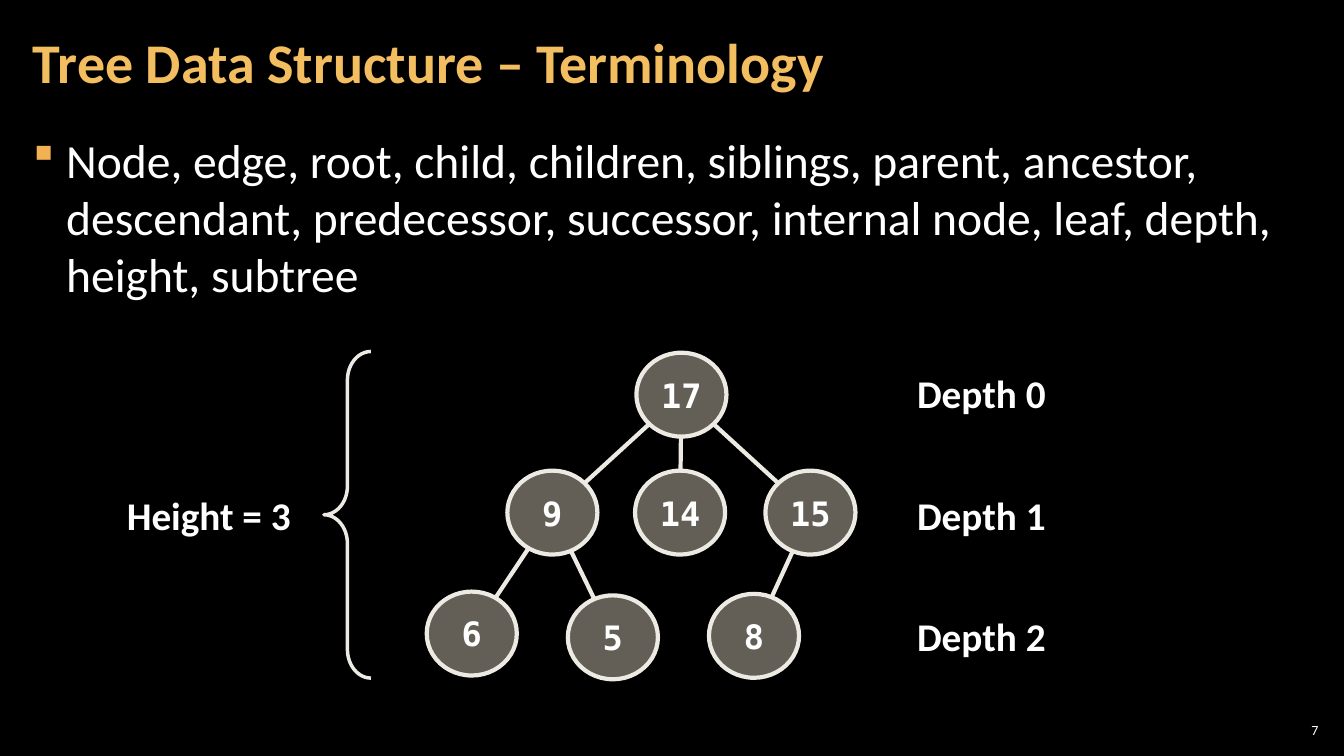
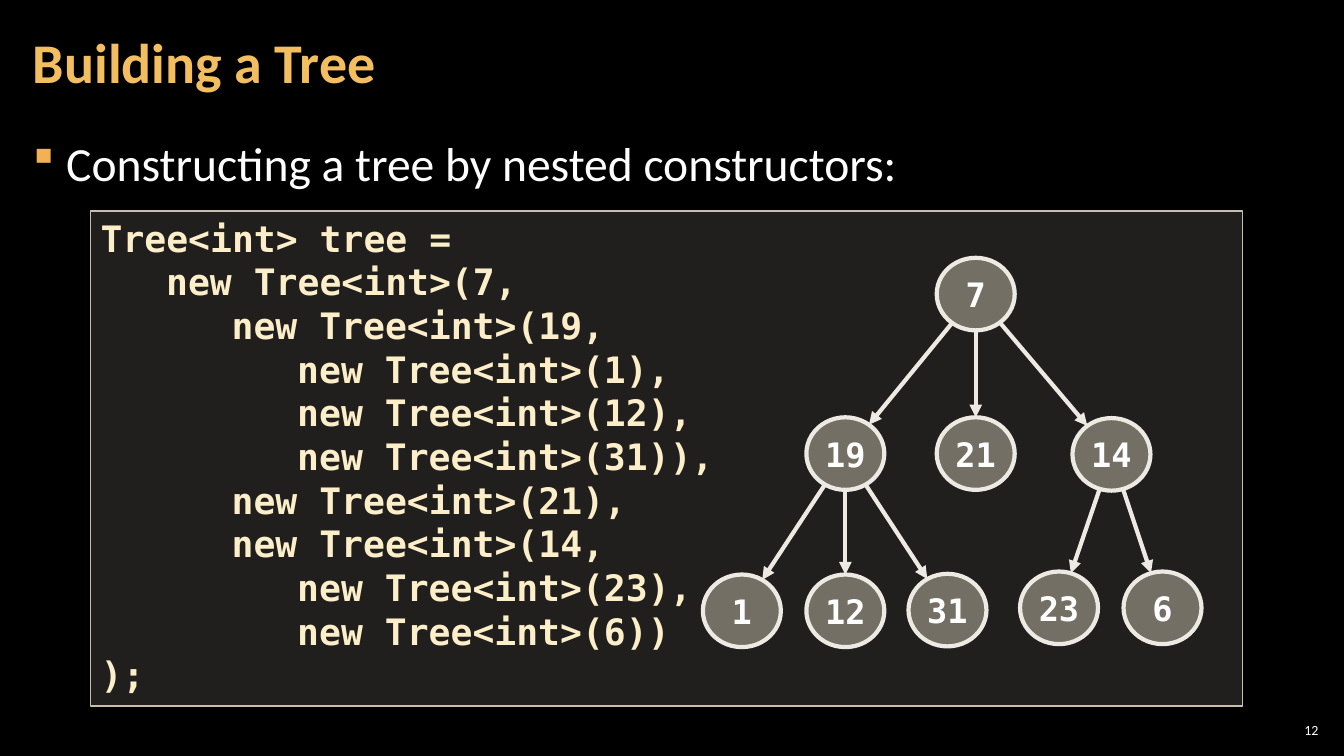
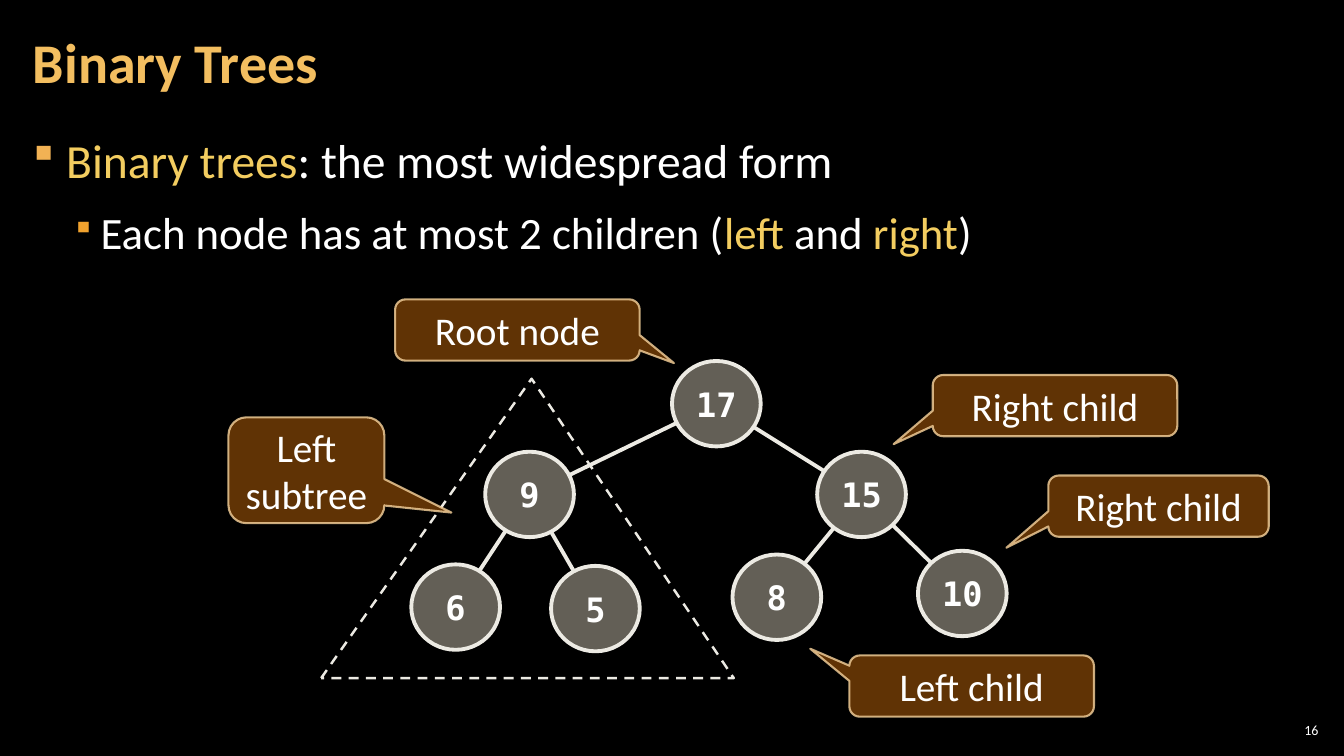
"""Build three slides on tree data structures."""
from math import hypot

from lxml.etree import SubElement
from pptx import Presentation
from pptx.dml.color import RGBColor
from pptx.enum.dml import MSO_LINE
from pptx.enum.shapes import MSO_CONNECTOR, MSO_SHAPE as SHAPE
from pptx.enum.text import MSO_ANCHOR as ANCHOR, MSO_AUTO_SIZE as AUTO, PP_ALIGN as ALIGN
from pptx.oxml.ns import qn
from pptx.util import Inches, Pt

WIDTH, HEIGHT = Inches(13.33), Inches(7.5)

BLACK = RGBColor(0x00, 0x00, 0x00)
WHITE = RGBColor(0xFF, 0xFF, 0xFF)
GOLD = RGBColor(0xF3, 0xBE, 0x60)
HIGHLIGHT = RGBColor(0xF3, 0xCD, 0x60)
AMBER = RGBColor(0xF2, 0xB2, 0x54)
ORANGE = RGBColor(0xF0, 0xA2, 0x2E)
CREAM = RGBColor(0xFB, 0xEE, 0xC9)
IVORY = RGBColor(0xEC, 0xEA, 0xE3)
STONE = RGBColor(0xC7, 0xBF, 0xAC)
PANEL = RGBColor(0xD9, 0xD5, 0xC7)
BROWN = RGBColor(0x66, 0x36, 0x06)
TAN = RGBColor(0xF8, 0xD4, 0x9E)

SANS, MONO, SYMBOLS = "Calibri", "DejaVu Sans Mono", "Wingdings"
SQUARE = "§"

BULLET_LEVELS = [(0.33, 0.33, 34, AMBER, 100), (0.67, 0.25, 32, ORANGE, 80)]

TERMS_TREE = {
    "17": (50.7, 52.2, None),
    "9": (41.1, 67.8, "17"), "14": (50.6, 67.8, "17"), "15": (60.3, 67.8, "17"),
    "6": (35.1, 83.8, "9"), "5": (45.6, 84.3, "9"), "8": (56.1, 84.1, "15"),
}
NESTED_TREE = {
    "7": (72.6, 38.9, None),
    "19": (62.9, 60, "7"), "21": (72.6, 60, "7"), "14": (82.7, 60.1, "7"),
    "1": (55.2, 80.8, "19"), "12": (62.9, 80.8, "19"), "31": (70.5, 80.7, "19"),
    "23": (78.8, 80.4, "14"), "6": (86.5, 80.4, "14"),
}
BINARY_TREE = {
    "17": (53.3, 53.4, None),
    "9": (39.4, 65.4, "17"), "15": (64.1, 65.4, "17"),
    "6": (33.9, 80.3, "9"), "5": (44.3, 80.5, "9"),
    "8": (57.8, 79, "15"), "10": (71.6, 78.5, "15"),
}
CODE = [
    (0, "Tree<int> tree ="),
    (1, "new Tree<int>(7,"),
    (2, "new Tree<int>(19,"),
    (3, "new Tree<int>(1),"),
    (3, "new Tree<int>(12),"),
    (3, "new Tree<int>(31)),"),
    (2, "new Tree<int>(21),"),
    (2, "new Tree<int>(14,"),
    (3, "new Tree<int>(23),"),
    (3, "new Tree<int>(6))"),
    (0, ");"),
]
CALLOUTS = [
    (["Root node"], (29.4, 39.6, 18.2, 8.1), (0.64, 0.54)),
    (["Left", "subtree"], (17, 55.2, 11.6, 14), (0.93, 0.4)),
    (["Right child"], (69.4, 49.6, 18.2, 8.1), (-0.66, 0.63)),
    (["Right child"], (78, 62.9, 16.4, 8.1), (-0.69, 0.68)),
    (["Left child"], (63.2, 86.7, 18.2, 8.1), (-0.66, -0.61)),
]


def share(*percents):
    """Turn alternating percentages of slide width and height into lengths."""
    return [round((HEIGHT if i % 2 else WIDTH) * p / 100) for i, p in enumerate(percents)]


def style(paragraph, size, color=WHITE, bold=False, font=SANS, align=ALIGN.LEFT):
    """Set the font and alignment of one paragraph."""
    paragraph.alignment = align
    paragraph.font.name = font
    paragraph.font.size = Pt(size)
    paragraph.font.bold = bold
    paragraph.font.color.rgb = color


def write(frame, lines, size, **look):
    """Fill a text frame with one styled paragraph per line."""
    frame.text = "\n".join(lines)
    for paragraph in frame.paragraphs:
        style(paragraph, size, **look)


def set_insets(frame, side, edge=0.04):
    """Set the inner margins of a text frame."""
    frame.margin_left = frame.margin_right = Inches(side)
    frame.margin_top = frame.margin_bottom = Inches(edge)


def set_opacity(fill_owner, percent):
    """Make the solid fill held by an XML element translucent."""
    color = fill_owner.find(qn("a:solidFill"))[0]
    SubElement(color, qn("a:alpha"), val=str(percent * 1000))


def add_outline(shapes, kind, box, fill=None, opacity=100, line=IVORY, weight=1, adjust=()):
    """Add a preset shape with an optional translucent fill."""
    shape = shapes.add_shape(kind, *share(*box))
    shape.shadow.inherit = False
    for i, value in enumerate(adjust):
        shape.adjustments[i] = value
    if fill is None:
        shape.fill.background()
    else:
        shape.fill.solid()
        shape.fill.fore_color.rgb = fill
        set_opacity(shape.element.spPr, opacity)
    shape.line.color.rgb = line
    shape.line.width = Pt(weight)
    return shape


def add_edge(shapes, parent, child, size, weight, arrow):
    """Link two node centres, trimmed to the outlines of the nodes."""
    dx, dy = child[0] - parent[0], child[1] - parent[1]
    trim = 1 / hypot(dx / (size[0] / 2), dy / (size[1] / 2))
    ends = share(parent[0] + dx * trim, parent[1] + dy * trim,
                 child[0] - dx * trim, child[1] - dy * trim)
    edge = shapes.add_connector(MSO_CONNECTOR.STRAIGHT, *ends)
    edge.line.color.rgb = IVORY
    edge.line.width = Pt(weight)
    properties = edge.element.spPr
    if arrow:
        SubElement(properties.find(qn("a:ln")), qn("a:tailEnd"), type="triangle")
    SubElement(properties, qn("a:effectLst"))


def add_tree(slide, tree, size, weight=3, arrow=False):
    """Draw a grouped tree of labelled nodes, each naming its parent."""
    shapes = slide.shapes.add_group_shape().shapes
    for x, y, parent in tree.values():
        if parent:
            add_edge(shapes, tree[parent], (x, y), size, weight, arrow)
    for label, (x, y, _) in tree.items():
        box = (x - size[0] / 2, y - size[1] / 2, *size)
        node = add_outline(shapes, SHAPE.OVAL, box, STONE, 50, weight=weight)
        node.text_frame.word_wrap = False
        node.text_frame.vertical_anchor = ANCHOR.MIDDLE
        write(node.text_frame, [label], 24, bold=True, font=MONO, align=ALIGN.CENTER)


def add_label(slide, text, left, top, width):
    """Add a bold one-line label beside a tree."""
    frame = slide.shapes.add_textbox(*share(left, top, width, 7.6)).text_frame
    frame.word_wrap = False
    frame.auto_size = AUTO.SHAPE_TO_FIT_TEXT
    write(frame, [text], 28, bold=True)


def add_callout(slide, lines, box, tip):
    """Add a brown speech bubble whose tip points at part of a tree."""
    callout = add_outline(slide.shapes, SHAPE.ROUNDED_RECTANGULAR_CALLOUT, box,
                          BROWN, 95, TAN, 1.5, (*tip, 0.17))
    set_opacity(callout.element.spPr.find(qn("a:ln")), 80)
    callout.text_frame.word_wrap = True
    callout.text_frame.vertical_anchor = ANCHOR.MIDDLE
    write(callout.text_frame, lines, 28, align=ALIGN.CENTER)


def add_code(slide, box):
    """Add the code panel, indenting each line by its nesting depth."""
    panel = add_outline(slide.shapes, SHAPE.RECTANGLE, box, PANEL, 15, STONE)
    frame = panel.text_frame
    frame.word_wrap = True
    frame.vertical_anchor = ANCHOR.TOP
    write(frame, [line for _, line in CODE], 26, color=CREAM, bold=True, font=MONO)
    for paragraph, (depth, _) in zip(frame.paragraphs, CODE):
        paragraph._p.get_or_add_pPr().set("marL", str(Inches(0.65 * depth)))


def add_bullet(paragraph, text, level, spacing):
    """Write one bullet, highlighting the parts between asterisks."""
    margin, hanging, size, color, scale = BULLET_LEVELS[level]
    paragraph.level = level
    paragraph.line_spacing = spacing
    paragraph.space_before = paragraph.space_after = Pt(6)
    properties = paragraph._p.get_or_add_pPr()
    properties.set("marL", str(Inches(margin)))
    properties.set("indent", str(-Inches(hanging)))
    SubElement(SubElement(properties, qn("a:buClr")), qn("a:srgbClr"), val=str(color))
    SubElement(properties, qn("a:buSzPct"), val=str(scale * 1000))
    SubElement(properties, qn("a:buFont"), typeface=SYMBOLS, charset="2")
    SubElement(properties, qn("a:buChar"), char=SQUARE)
    style(paragraph, size)
    for i, part in enumerate(text.split("*")):
        if part:
            run = paragraph.add_run()
            run.text = part
            if i % 2:
                run.font.color.rgb = HIGHLIGHT


def add_slide(deck, title, number, bullets, spacing=1.0):
    """Add a slide with its title, bullets and page number."""
    slide = deck.slides.add_slide(deck.slide_layouts[5])
    heading = slide.shapes.title
    heading.left, heading.top, heading.width, heading.height = share(1.55, 0.6, 78.5, 16.1)
    frame = heading.text_frame
    frame.auto_size = AUTO.NONE
    frame.vertical_anchor = ANCHOR.MIDDLE
    set_insets(frame, 0.12)
    write(frame, [title], 40, color=GOLD, bold=True)
    frame.paragraphs[0].line_spacing = 0.9

    body = slide.shapes.add_textbox(*share(1.55, 16.8, 96.8, 81.2)).text_frame
    body.word_wrap = True
    set_insets(body, 0.12)
    for level, text in enumerate(bullets):
        paragraph = body.add_paragraph() if level else body.paragraphs[0]
        add_bullet(paragraph, text, level, spacing)

    page = slide.shapes.add_textbox(*share(94.9, 95.2, 3.5, 2.8)).text_frame
    page.word_wrap = True
    page.vertical_anchor = ANCHOR.MIDDLE
    set_insets(page, 0.04)
    write(page, [str(number)], 10, align=ALIGN.RIGHT)
    return slide


def build_terminology(deck):
    """Build the slide that names the parts of a tree."""
    slide = add_slide(deck, "Tree Data Structure – Terminology", 7, [
        "Node, edge, root, child, children, siblings, parent, ancestor, descendant, "
        "predecessor, successor, internal node, leaf, depth, height, subtree"])
    add_outline(slide.shapes, SHAPE.LEFT_BRACE, (24.1, 46.5, 3.5, 43.2),
                weight=2.5, adjust=(0.61, 0.5))
    add_label(slide, "Height = 3", 8.7, 64.3, 13.9)
    for depth in range(3):
        add_label(slide, f"Depth {depth}", 67.5, 48.2 + 16.1 * depth, 11.2)
    add_tree(slide, TERMS_TREE, (6.7, 11.1))


def build_construction(deck):
    """Build the slide that constructs a tree in code."""
    slide = add_slide(deck, "Building a Tree", 12,
                      ["Constructing a tree by nested constructors:"], 1.05)
    add_code(slide, (6.75, 27.9, 85.7, 65.5))
    add_tree(slide, NESTED_TREE, (5.8, 9.6), arrow=True)


def build_binary(deck):
    """Build the slide that explains binary trees."""
    slide = add_slide(deck, "Binary Trees", 16, [
        "*Binary trees*: the most widespread form",
        "Each node has at most 2 children (*left* and *right*)"])
    add_tree(slide, BINARY_TREE, (6.6, 11.3), 2.75)
    subtree = add_outline(slide.shapes, SHAPE.ISOSCELES_TRIANGLE, (23.9, 50.1, 30.7, 39.6),
                          weight=1.75, adjust=(0.51,))
    subtree.line.dash_style = MSO_LINE.DASH
    for lines, box, tip in CALLOUTS:
        add_callout(slide, lines, box, tip)


def main():
    """Build and save the deck."""
    deck = Presentation()
    deck.slide_width, deck.slide_height = WIDTH, HEIGHT
    backdrop = deck.slide_master.background.fill
    backdrop.solid()
    backdrop.fore_color.rgb = BLACK
    build_terminology(deck)
    build_construction(deck)
    build_binary(deck)
    deck.save("out.pptx")


if __name__ == "__main__":
    main()
